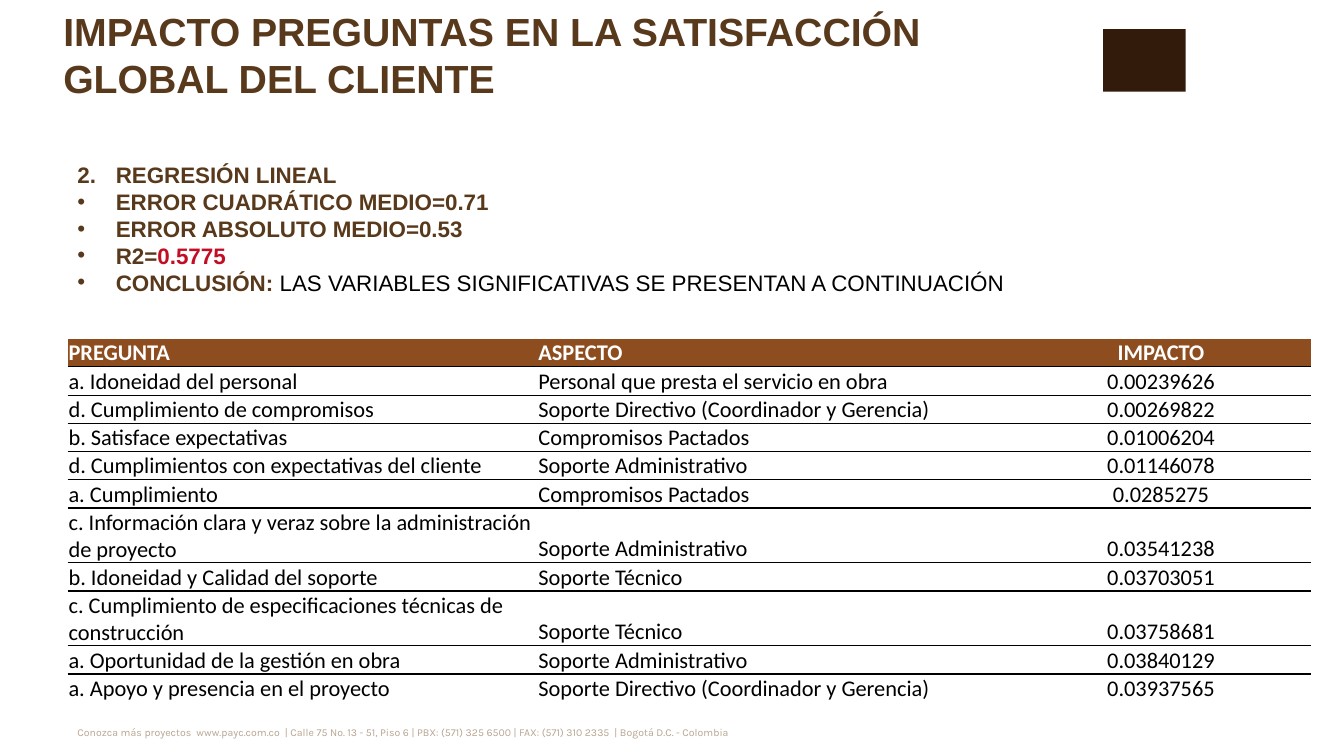
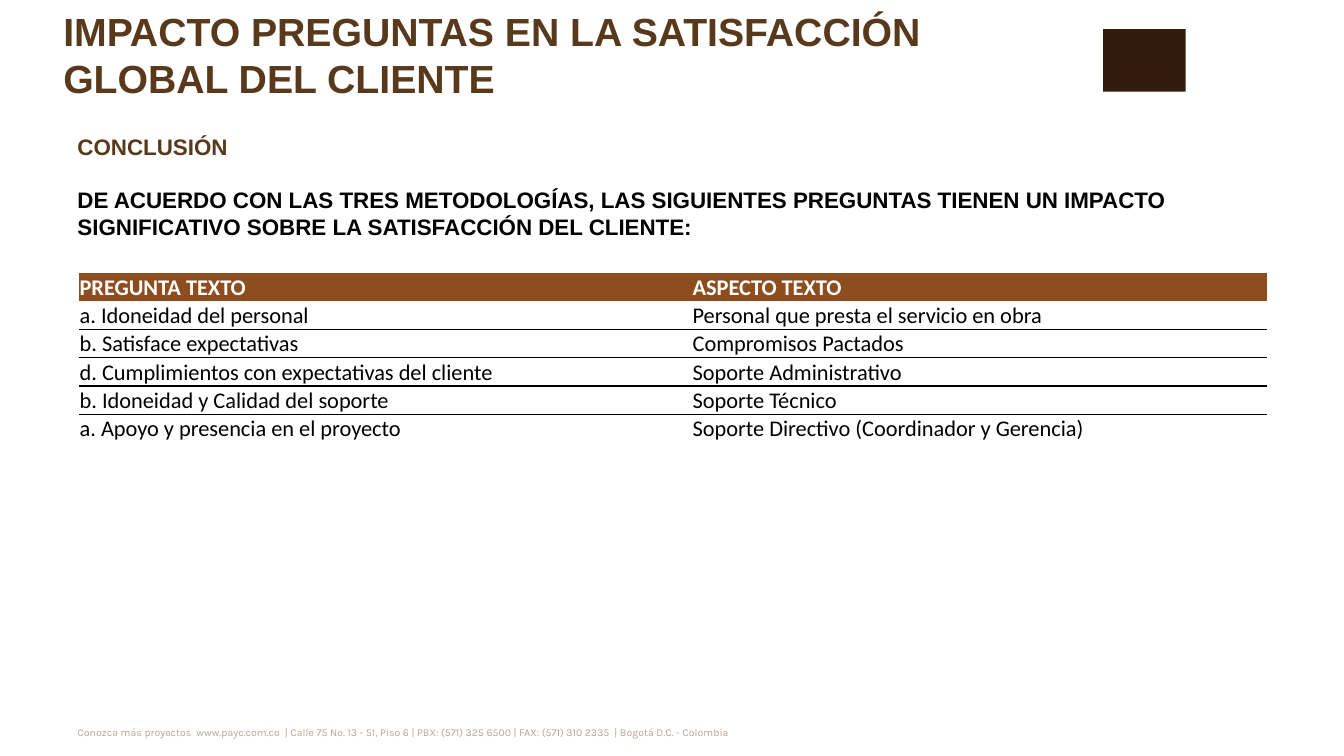
from lxml import etree
from pptx import Presentation
from pptx import util as u
from pptx.dml.color import RGBColor
from pptx.enum import shapes, text
from pptx.oxml.ns import qn


class Theme:
    brown = RGBColor.from_string("58391C")
    dark = RGBColor.from_string("321B0B")
    header = RGBColor.from_string("8E4D1F")
    red = RGBColor.from_string("C20D24")
    sand = RGBColor.from_string("B8A592")
    black = RGBColor.from_string("000000")
    white = RGBColor.from_string("FFFFFF")
    heading_font, table_font, footer_font = "Arial", "Calibri", "Karla"
    title_size, body_size, footer_size = u.Pt(28), u.Pt(16), u.Pt(13)
    row_height = u.Inches(0.28)
    no_table_style = "{2D5ABB26-0587-4C30-8999-92F81FD0307C}"


TITLE = "IMPACTO PREGUNTAS EN LA SATISFACCIÓN GLOBAL DEL CLIENTE"
FOOTER = ("Conozca más proyectos  www.payc.com.co  | Calle 75 No. 13 - 51, Piso 6 | "
          "PBX: (571) 325 6500 | FAX: (571) 310 2335  | Bogotá D.C. - Colombia")


def add_text(s, box, paragraphs, size=Theme.body_size, font=Theme.heading_font):
    """Each paragraph is a list of (text, colour, bold) runs."""
    tf = s.shapes.add_textbox(*map(u.Inches, box)).text_frame
    tf.word_wrap = True
    for i, runs in enumerate(paragraphs):
        p = tf.paragraphs[0] if i == 0 else tf.add_paragraph()
        for words, colour, bold in runs:
            r = p.add_run()
            r.text = words
            r.font.name, r.font.size, r.font.bold = font, size, bold
            r.font.color.rgb = colour
    return tf


def add_grid(s, left, top, widths, rows, header_rule):
    """Table with a brown header and thin rules between rows."""
    frame = s.shapes.add_table(len(rows), len(widths), u.Inches(left), u.Inches(top),
                               u.Inches(sum(widths)), Theme.row_height * len(rows))
    table = frame.table
    table.horz_banding = False
    table._tbl.tblPr.find(qn("a:tableStyleId")).text = Theme.no_table_style
    for column, width in zip(table.columns, widths):
        column.width = u.Inches(width)
    first_rule = 0 if header_rule else 1
    for i, row in enumerate(rows):
        for j, words in enumerate(row):
            cell = table.cell(i, j)
            cell.margin_left = cell.margin_right = cell.margin_top = u.Inches(0.01)
            cell.margin_bottom = 0
            cell.vertical_anchor = text.MSO_ANCHOR.BOTTOM
            cell.text_frame.text = words
            p = cell.text_frame.paragraphs[0]
            if j == 2:
                p.alignment = text.PP_ALIGN.CENTER
            font = p.runs[0].font
            font.name, font.size, font.bold = Theme.table_font, Theme.body_size, i == 0
            font.color.rgb = Theme.black if i else Theme.white
            if i == 0:
                cell.fill.solid()
                cell.fill.fore_color.rgb = Theme.header
            else:
                cell.fill.background()
            # Rules go ahead of the fill in the cell properties
            edges = [("a:lnT", i > first_rule), ("a:lnB", first_rule <= i < len(rows) - 1)]
            tags = [tag for tag, shown in edges if shown]
            for place, tag in enumerate(tags):
                ln = etree.Element(qn(tag), w=str(u.Pt(1)))
                fill = etree.SubElement(ln, qn("a:solidFill"))
                etree.SubElement(fill, qn("a:srgbClr"), val=str(Theme.black))
                cell._tc.get_or_add_tcPr().insert(place, ln)


prs = Presentation()
prs.slide_width, prs.slide_height = u.Inches(13.33), u.Inches(7.5)
regression, conclusion = [prs.slides.add_slide(prs.slide_layouts[6]) for _ in range(2)]

# Shared footer, logo block and title
for s in (regression, conclusion):
    tf = add_text(s, (0.67, 7.13, 10.27, 0.39), [[(FOOTER, Theme.sand, False)]],
                  Theme.footer_size, Theme.footer_font)
    tf.paragraphs[0].runs[0].font._element.set("baseline", "30000")
    sp = s.shapes.add_shape(shapes.MSO_SHAPE.RECTANGLE,
                            *map(u.Inches, (10.94, 0.29, 0.82, 0.62)))
    sp.shadow.inherit = False
    sp.fill.solid()
    sp.fill.fore_color.rgb = Theme.dark
    sp.line.fill.background()
    add_text(s, (0.53, 0.02, 10.1, 0.67), [[(TITLE, Theme.brown, True)]], Theme.title_size)

# Slide 1: regression results
tf = add_text(regression, (0.67, 1.55, 12.39, 1.42), [
    [("REGRESIÓN LINEAL", Theme.brown, True)],
    [("ERROR CUADRÁTICO MEDIO=0.71", Theme.brown, True)],
    [("ERROR ABSOLUTO MEDIO=0.53", Theme.brown, True)],
    [("R2=", Theme.brown, True), ("0.5775", Theme.red, True)],
    [("CONCLUSIÓN: ", Theme.brown, True),
     ("LAS VARIABLES SIGNIFICATIVAS SE PRESENTAN A CONTINUACIÓN", Theme.black, False)],
])
for i, p in enumerate(tf.paragraphs):
    pPr = p._p.get_or_add_pPr()
    pPr.set("marL", str(u.Inches(0.38)))
    pPr.set("indent", str(-u.Inches(0.38)))
    if i == 0:
        etree.SubElement(pPr, qn("a:buFont"), typeface="+mj-lt")
        etree.SubElement(pPr, qn("a:buAutoNum"), type="arabicPeriod", startAt="2")
    else:
        etree.SubElement(pPr, qn("a:buFont"), typeface="Arial")
        etree.SubElement(pPr, qn("a:buChar"), char="•")

add_grid(regression, 0.67, 3.36, (4.66, 4.7, 2.97), [
    ("PREGUNTA", "ASPECTO", "IMPACTO"),
    ("a. Idoneidad del personal", "Personal que presta el servicio en obra", "0.00239626"),
    ("d. Cumplimiento de compromisos", "Soporte Directivo (Coordinador y Gerencia)",
     "0.00269822"),
    ("b. Satisface expectativas", "Compromisos Pactados", "0.01006204"),
    ("d. Cumplimientos con expectativas del cliente", "Soporte Administrativo", "0.01146078"),
    ("a. Cumplimiento", "Compromisos Pactados", "0.0285275"),
    ("c. Información clara y veraz sobre la administración de proyecto",
     "Soporte Administrativo", "0.03541238"),
    ("b. Idoneidad y Calidad del soporte", "Soporte Técnico", "0.03703051"),
    ("c. Cumplimiento de especificaciones técnicas de construcción", "Soporte Técnico",
     "0.03758681"),
    ("a. Oportunidad de la gestión en obra", "Soporte Administrativo", "0.03840129"),
    ("a. Apoyo y presencia en el proyecto", "Soporte Directivo (Coordinador y Gerencia)",
     "0.03937565"),
], header_rule=True)

# Slide 2: conclusion
tf = add_text(conclusion, (0.67, 1.27, 12.39, 1.1), [
    [("CONCLUSIÓN", Theme.brown, True)],
    [("DE ACUERDO CON LAS TRES METODOLOGÍAS, LAS SIGUIENTES PREGUNTAS TIENEN UN IMPACTO "
      "SIGNIFICATIVO SOBRE LA SATISFACCIÓN DEL CLIENTE:", Theme.black, True)],
])
tf.paragraphs[1].space_before = u.Pt(19)

add_grid(conclusion, 0.78, 2.71, (6.08, 5.71), [
    ("PREGUNTA TEXTO", "ASPECTO TEXTO"),
    ("a. Idoneidad del personal", "Personal que presta el servicio en obra"),
    ("b. Satisface expectativas", "Compromisos Pactados"),
    ("d. Cumplimientos con expectativas del cliente", "Soporte Administrativo"),
    ("b. Idoneidad y Calidad del soporte", "Soporte Técnico"),
    ("a. Apoyo y presencia en el proyecto", "Soporte Directivo (Coordinador y Gerencia)"),
], header_rule=False)

prs.save("out.pptx")
